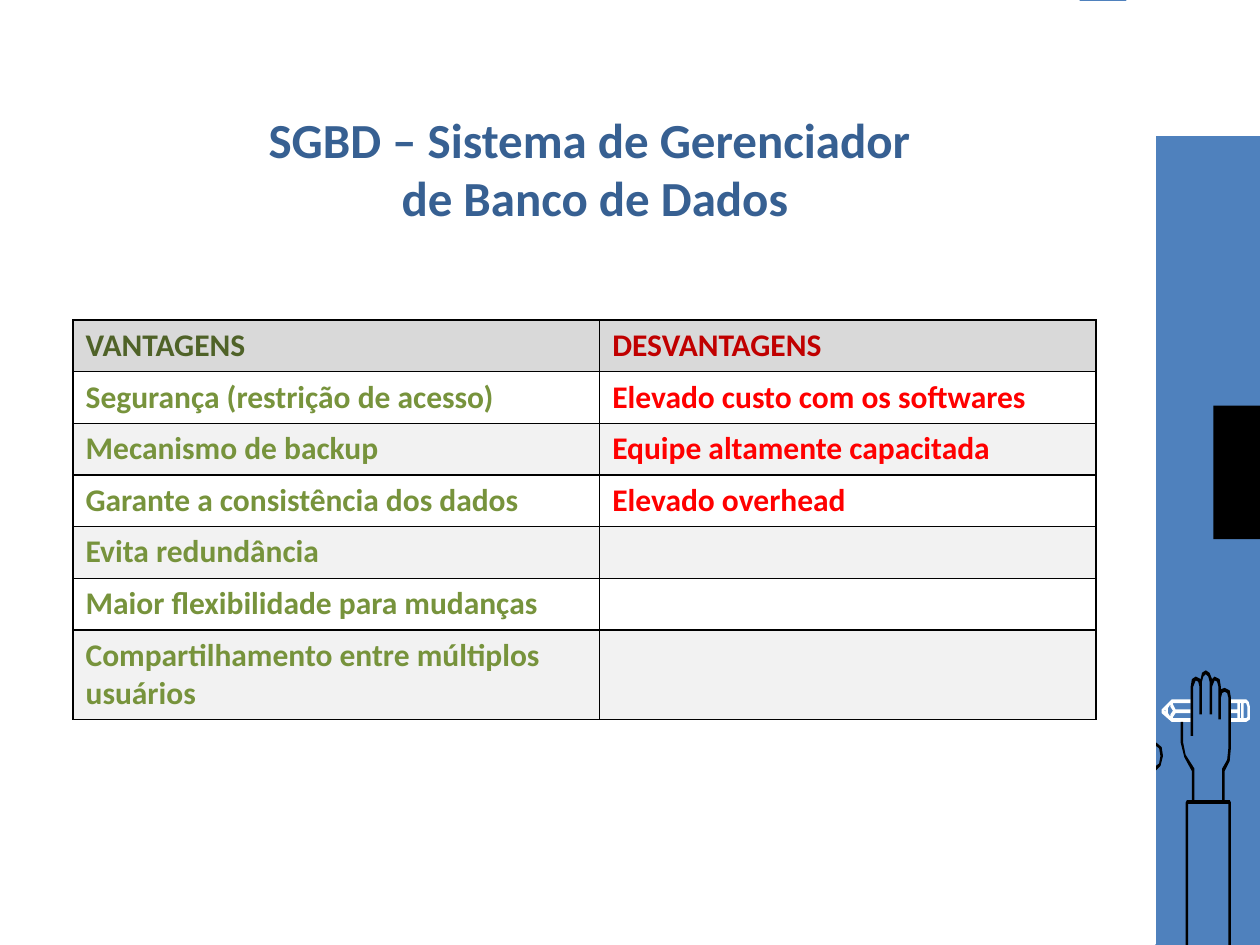
import pptx
import pptx.dml.color
import pptx.enum.shapes
import pptx.enum.text
import pptx.oxml
import pptx.oxml.ns
import pptx.util
from pptx.util import Inches

FONT = "Calibri"
BLUE, WHITE, BLACK = "4F81BD", "FFFFFF", "000000"
HEADER_GRAY, BAND_GRAY = "D9D9D9", "F2F2F2"
HEADER_COLORS = ("4F6228", "C00000")
BODY_COLORS = ("77933C", "FF0000")

ROWS = [
    ("VANTAGENS", "DESVANTAGENS"),
    ("Segurança (restrição de acesso)", "Elevado custo com os softwares"),
    ("Mecanismo de backup", "Equipe altamente capacitada"),
    ("Garante a consistência dos dados", "Elevado overhead"),
    ("Evita redundância", ""),
    ("Maior flexibilidade para mudanças", ""),
    ("Compartilhamento entre múltiplos\nusuários", ""),
]

# Outlines in hundredths of an inch from each part's corner; the first
# contour is the outside, the others are holes.
PENCIL_END = [
    [(15, 6), (14, 2), (12, 0), (0, 0), (0, 3), (5, 3), (5, 8), (0, 8),
     (0, 11), (5, 11), (5, 15), (0, 15), (0, 18), (12, 18), (15, 16)],
    [(8, 15), (7, 15), (7, 3), (8, 3)],
    [(13, 14), (12, 15), (10, 15), (10, 3), (12, 3), (13, 6)],
]
PENCIL_TIP = [
    [(8, 0), (0, 8), (0, 11), (8, 18), (23, 18), (23, 15), (9, 15), (9, 14),
     (11, 11), (23, 11), (23, 8), (11, 8), (9, 4), (9, 3), (23, 3), (23, 0)],
    [(3, 10), (2, 9), (3, 8)],
    [(9, 9), (7, 12), (7, 14), (5, 11), (5, 7), (7, 4), (7, 6)],
]
SCROLL = [
    [(74, 12), (73, 5), (67, 0), (7, 0), (2, 4), (0, 12), (0, 82), (1, 84),
     (6, 84), (6, 96), (7, 97), (67, 97), (68, 96), (68, 24), (72, 20)],
    [(2, 80), (2, 12), (4, 5), (7, 3), (10, 5), (12, 12), (12, 14), (7, 14),
     (6, 16), (6, 80)],
    [(8, 21), (8, 17), (11, 17), (10, 20)],
    [(66, 94), (8, 94), (8, 25), (66, 25)],
    [(67, 21), (67, 22), (12, 22), (14, 12), (12, 3), (67, 3), (71, 6),
     (72, 12), (71, 18)],
]
HAND = [
    [(9, 80), (9, 103), (5, 103), (4, 105), (4, 218), (6, 218), (6, 106),
     (38, 106), (38, 218), (40, 218), (40, 105), (39, 103), (35, 103),
     (35, 80), (39, 72), (40, 61), (40, 22), (39, 16), (35, 14), (32, 15),
     (32, 13), (31, 7), (27, 5), (25, 7), (23, 2), (20, 0), (17, 2), (16, 7),
     (12, 5), (9, 7), (8, 13), (8, 52), (10, 52), (10, 13), (12, 8), (14, 9),
     (15, 13), (15, 35), (17, 35), (17, 9), (18, 5), (20, 3), (22, 5),
     (23, 9), (23, 35), (25, 35), (25, 13), (27, 8), (29, 9), (30, 13),
     (30, 39), (32, 39), (32, 22), (33, 18), (35, 17), (37, 18), (38, 22),
     (38, 61), (37, 71), (33, 78), (33, 103), (11, 103), (11, 78), (4, 67),
     (2, 57), (2, 41), (0, 41), (0, 57), (3, 69)],
]


def color(code):
    return pptx.dml.color.RGBColor.from_string(code)


def paint(shape, fill, line=None):
    shape.shadow.inherit = False
    shape.fill.solid()
    shape.fill.fore_color.rgb = color(fill)
    if line:
        shape.line.color.rgb = color(line)
        shape.line.width = pptx.util.Pt(2)
    else:
        shape.line.fill.background()


def add_block(page, left, top, width, height, fill, line=None):
    block = page.shapes.add_shape(
        pptx.enum.shapes.MSO_SHAPE.RECTANGLE,
        Inches(left), Inches(top), Inches(width), Inches(height))
    paint(block, fill, line)


def add_outline(page, left, top, contours, fill):
    outer, *holes = contours
    builder = page.shapes.build_freeform(*outer[0], scale=Inches(0.01))
    builder.add_line_segments(outer[1:], close=True)
    for hole in holes:
        builder.move_to(*hole[0])
        builder.add_line_segments(hole[1:], close=True)
    paint(builder.convert_to_shape(Inches(left), Inches(top)), fill)


def write_text(frame, text, size, ink, align=None):
    """Fill a frame with bold text; newlines split paragraphs, \\v breaks lines."""
    frame.text = text
    for para in frame.paragraphs:
        para.alignment = align
        for span in para.runs:
            span.font.name = FONT
            span.font.size = pptx.util.Pt(size)
            span.font.bold = True
            span.font.color.rgb = color(ink)


def add_hand_with_pencil(page, left, top):
    add_outline(page, left + 0.55, top + 0.23, PENCIL_END, WHITE)
    add_outline(page, left, top + 0.23, PENCIL_TIP, WHITE)
    add_outline(page, left - 0.73, top + 0.56, SCROLL, BLACK)
    add_outline(page, left + 0.15, top, HAND, BLACK)


def add_panels(page):
    add_block(page, 8.1, 0.02, 1.06, 7.47, WHITE, WHITE)
    add_block(page, 9.63, 3.22, 0.37, 1.06, BLACK)
    add_block(page, 0, 0, 8.57, 7.5, WHITE)
    add_block(page, 8.95, 0.01, 1.06, 1.06, WHITE, WHITE)


def place_title(page, left, top, width, height):
    title = page.shapes.title
    title.left, title.top = Inches(left), Inches(top)
    title.width, title.height = Inches(width), Inches(height)
    frame = title.text_frame
    frame.word_wrap = True
    frame.auto_size = pptx.enum.text.MSO_AUTO_SIZE.NONE
    frame.vertical_anchor = pptx.enum.text.MSO_ANCHOR.BOTTOM
    frame.margin_left = frame.margin_right = Inches(0.1)
    frame.margin_top = frame.margin_bottom = Inches(0.1)
    write_text(frame, "SGBD – Sistema de Gerenciador \vde Banco de Dados",
               28, "376092", pptx.enum.text.PP_ALIGN.CENTER)
    # Bring the title in front of the white panels.
    title.element.getparent().append(title.element)


def add_borders(cell):
    properties = cell._tc.get_or_add_tcPr()
    for index, side in enumerate(("lnL", "lnR", "lnT", "lnB")):
        properties.insert(index, pptx.oxml.parse_xml(
            f'<a:{side} {pptx.oxml.ns.nsdecls("a")} w="12700"><a:solidFill>'
            f'<a:srgbClr val="{BLACK}"/></a:solidFill></a:{side}>'))


def add_comparison(page, left, top, widths, row_height):
    table = page.shapes.add_table(
        len(ROWS), len(widths), Inches(left), Inches(top),
        Inches(sum(widths)), Inches(row_height * len(ROWS))).table
    table.horz_banding = False
    for column, width in zip(table.columns, widths):
        column.width = Inches(width)
    for r, texts in enumerate(ROWS):
        table.rows[r].height = Inches(row_height)
        inks = BODY_COLORS if r else HEADER_COLORS
        for c, text in enumerate(texts):
            cell = table.cell(r, c)
            write_text(cell.text_frame, text, 18, inks[c])
            if r % 2:
                cell.fill.background()
            else:
                cell.fill.solid()
                cell.fill.fore_color.rgb = color(BAND_GRAY if r else HEADER_GRAY)
            add_borders(cell)


def main():
    deck = pptx.Presentation()
    deck.slide_width, deck.slide_height = Inches(10), Inches(7.5)
    page = deck.slides.add_slide(deck.slide_layouts[5])
    page.background.fill.solid()
    page.background.fill.fore_color.rgb = color(BLUE)
    add_hand_with_pencil(page, 9.22, 5.32)
    add_panels(page)
    place_title(page, 0.5, 0.65, 8.44, 1.25)
    add_comparison(page, 0.58, 2.54, (4.18, 3.94), 0.41)
    deck.save("out.pptx")


if __name__ == "__main__":
    main()
